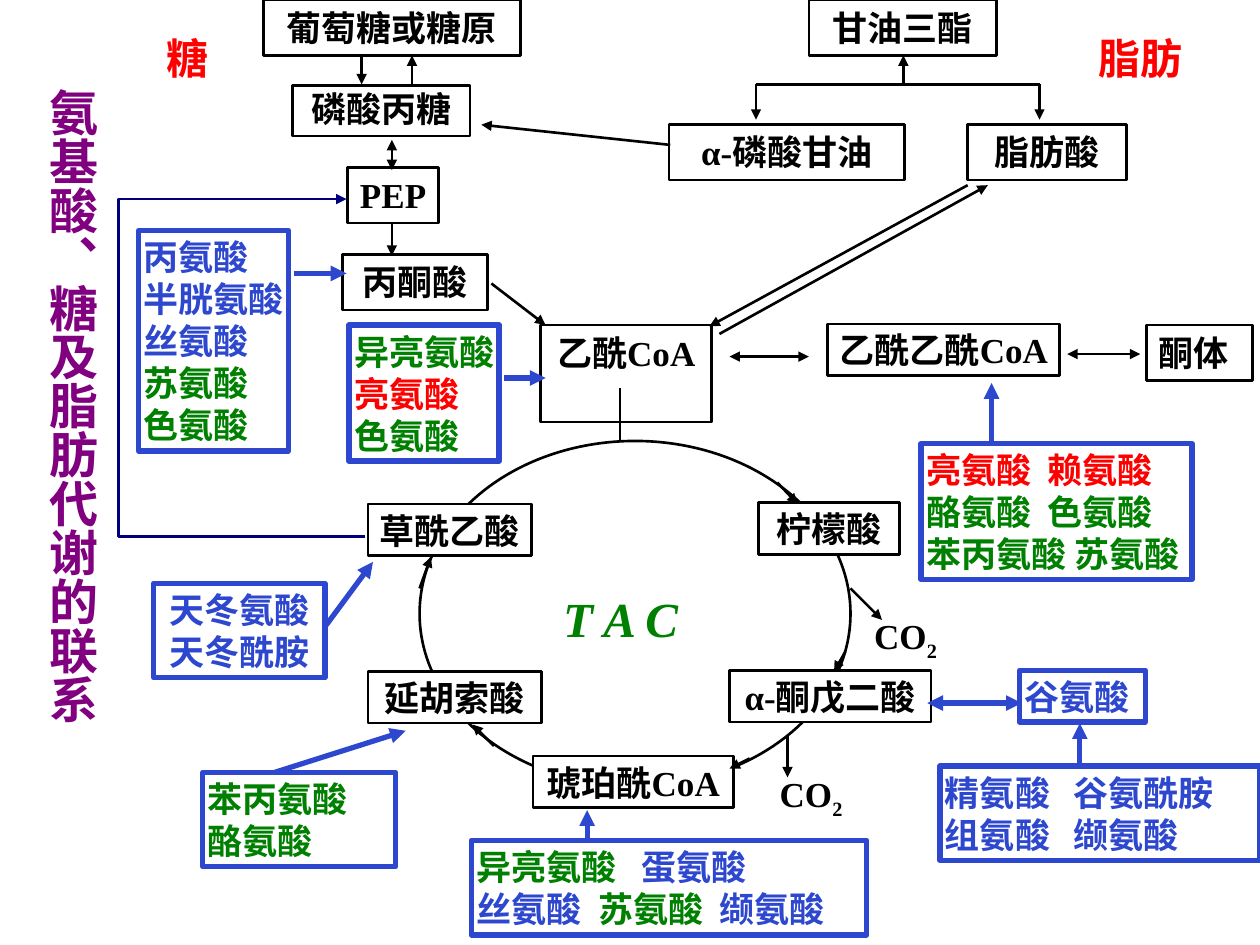
from lxml.etree import SubElement
from pptx import Presentation
from pptx.dml.color import RGBColor
from pptx.enum.shapes import MSO_CONNECTOR as CONN, MSO_SHAPE as SHAPE
from pptx.enum.text import MSO_ANCHOR as ANCHOR, MSO_AUTO_SIZE as AUTO, PP_ALIGN as ALIGN
from pptx.oxml.ns import qn
from pptx.util import Inches, Pt

BLACK, WHITE, BLUE, GREEN = "000000", "FFFFFF", "2D48CF", "008000"
RED, NAVY, PURPLE = "FF0000", "00007D", "800080"
WIDE, TIGHT, UPRIGHT = (0.1, 0.05), (0.04, 0.04), (0.05, 0.1)

# text, (left, top, width, height)
CYCLE_BOXES = [
    ("琥珀酰CoA", (4.23, 6, 1.59, 0.41)),
    ("延胡索酸", (2.92, 5.33, 1.38, 0.41)),
    ("草酰乙酸", (2.92, 4, 1.3, 0.41)),
    ("α-酮戊二酸", (5.79, 5.32, 1.6, 0.41)),
    ("柠檬酸", (6.02, 3.99, 1.12, 0.41)),
]
PATHWAY_BOXES = [
    ("乙酰CoA", (4.29, 2.58, 1.36, 0.77), {}),
    ("丙酮酸", (2.72, 2.02, 1.15, 0.44), {}),
    ("PEP", (2.76, 1.33, 0.72, 0.44), {"wrap": False}),
    ("磷酸丙糖", (2.32, 0.68, 1.41, 0.4), {"spacing": 0.9}),
    ("葡萄糖或糖原", (2.09, 0, 2.04, 0.44), {}),
    ("α-磷酸甘油", (5.31, 0.99, 1.87, 0.44), {}),
    ("脂肪酸", (7.68, 0.99, 1.26, 0.44), {}),
    ("甘油三酯", (6.42, 0, 1.49, 0.44), {}),
    ("乙酰乙酰CoA", (6.57, 2.57, 1.84, 0.41), {"inset": TIGHT}),
    ("酮体", (9.1, 2.58, 0.84, 0.44), {"align": ALIGN.LEFT}),
]
# box, lines of (text, colour) runs, text options
AMINO_ACID_BOXES = [
    ((1.1, 1.83, 1.19, 1.75),
     [[("丙氨酸", BLUE)], [("半胱氨酸", BLUE)], [("丝氨酸", BLUE)],
      [("苏氨酸", GREEN)], [("色氨酸", GREEN)]], {"wrap": False}),
    ((2.77, 2.58, 1.19, 1.08),
     [[("异亮氨酸", GREEN)], [("亮氨酸", RED)], [("色氨酸", GREEN)]], {"wrap": False}),
    ((1.22, 4.63, 1.36, 0.75),
     [[("天冬氨酸", BLUE)], [("天冬酰胺", BLUE)]], {"align": ALIGN.CENTER}),
    ((1.61, 6.13, 1.53, 0.75), [[("苯丙氨酸", GREEN)], [("酪氨酸", GREEN)]], {}),
    ((3.74, 6.67, 3.14, 0.75),
     [[("异亮氨酸", GREEN), ("\t蛋氨酸", BLUE)],
      [("丝氨酸", BLUE), ("\t苏氨酸", GREEN), ("\t缬氨酸", BLUE)]],
     {"tabs": [(1.31,), (0.97, 1.93)]}),
    ((7.31, 3.52, 2.15, 1.08),
     [[("亮氨酸\t赖氨酸", RED)], [("酪氨酸\t色氨酸", GREEN)], [("苯丙氨酸 苏氨酸", GREEN)]],
     {"tabs": [(0.96,), (0.96,), ()]}),
    ((8.09, 5.32, 1, 0.41), [[("谷氨酸", BLUE)]], {}),
    ((7.46, 6.08, 2.54, 0.75),
     [[("精氨酸\t谷氨酰胺", BLUE)], [("组氨酸\t缬氨酸", BLUE)]],
     {"tabs": [(1.02,), (1.02,)]}),
]
# x1, y1, x2, y2
PLAIN_LINES = [(6, 0.67, 8.25, 0.67), (4.92, 3.08, 4.92, 3.5)]
ARROWS = [
    (5.32, 1.15, 3.82, 0.99), (6, 0.67, 6, 0.95), (8.25, 0.67, 8.25, 0.95),
    (7.17, 0.67, 7.17, 0.44), (2.87, 0.44, 2.87, 0.67), (3.27, 0.68, 3.27, 0.44),
    (3.11, 1.78, 3.11, 2.03), (3.9, 2.25, 4.33, 2.58), (6.71, 5.17, 6.62, 5.33),
    (6.75, 4.67, 7, 4.92), (5.95, 6.02, 5.79, 6.1), (6.25, 5.83, 6.25, 6.17),
    (6.17, 3.83, 6.33, 4), (3.33, 4.67, 3.42, 4.42), (3.92, 5.92, 3.75, 5.75),
    (7.68, 1.47, 5.63, 2.59), (5.71, 2.65, 7.84, 1.47),
]
TWO_WAY_ARROWS = [(3.11, 1.11, 3.11, 1.35), (8.47, 2.81, 9.05, 2.81), (5.79, 2.83, 6.42, 2.83)]
AMINO_ACID_ARROWS = [
    (2.33, 2.17, 2.75, 2.17), (4, 3, 4.33, 3), (2.59, 4.96, 2.96, 4.46),
    (2.18, 6.13, 3.22, 5.8), (4.66, 6.67, 4.66, 6.43), (7.87, 3.52, 7.87, 3.04),
    (8.57, 6.08, 8.57, 5.74),
]


def rgb(color):
    return RGBColor.from_string(color)


def inches(values):
    return [Inches(v) for v in values]


def add_run(p, text, color, size=20, italic=None):
    r = p.add_run()
    r.text = text
    fmt = {"name": "Times New Roman", "size": Pt(size), "bold": True, "italic": italic}
    for name, value in fmt.items():
        setattr(r.font, name, value)
    r.font.color.rgb = rgb(color)
    return r


def set_tabs(p, stops):
    if stops:
        tab_list = SubElement(p._p.get_or_add_pPr(), qn("a:tabLst"))
        for stop in stops:
            SubElement(tab_list, qn("a:tab"), pos=str(Inches(stop)), algn="l")


def write(sp, lines, inset=WIDE, align=ALIGN.LEFT, wrap=True, spacing=None, tabs=None, **font):
    """Fill a shape with lines, each a list of (text, colour) runs."""
    tf = sp.text_frame
    dx, dy = inches(inset)
    fmt = {"margin_left": dx, "margin_right": dx, "margin_top": dy, "margin_bottom": dy,
           "word_wrap": wrap, "auto_size": AUTO.NONE, "vertical_anchor": ANCHOR.TOP}
    for name, value in fmt.items():
        setattr(tf, name, value)
    for i, runs in enumerate(lines):
        p = tf.add_paragraph() if i else tf.paragraphs[0]
        if tabs:
            set_tabs(p, tabs[i])
        p.alignment = align
        p.line_spacing = spacing
        for text, color in runs:
            add_run(p, text, color, **font)
    return tf


def add_outlined(s, kind, box, color=BLACK, width=1.5, fill=None):
    sp = s.shapes.add_shape(kind, *inches(box))
    sp.shadow.inherit = False
    if fill:
        sp.fill.solid()
        sp.fill.fore_color.rgb = rgb(fill)
    else:
        sp.fill.background()
    sp.line.color.rgb = rgb(color)
    sp.line.width = Pt(width)
    return sp


def add_label(s, text, box, color, **options):
    return write(s.shapes.add_textbox(*inches(box)), [[(text, color)]], **options)


def add_line(s, ends, color=BLACK, width=1.5, arrows=("tailEnd",), kind=CONN.STRAIGHT):
    c = s.shapes.add_connector(kind, *inches(ends))
    c.line.color.rgb = rgb(color)
    c.line.width = Pt(width)
    for end in arrows:
        SubElement(c.line._get_or_add_ln(), qn(f"a:{end}"), type="triangle")
    SubElement(c._element.spPr, qn("a:effectLst"))
    return c


def add_return_arrow(s):
    """Lead oxaloacetate back to PEP by an elbow bulging to the left."""
    x1, y1, x2, y2, bend = 2.75, 1.58, 2.9, 4.26, 0.94
    c = add_line(s, (x1, y1, x2, y2), NAVY, kind=CONN.ELBOW)
    spPr = c._element.spPr
    spPr.find(qn("a:xfrm")).set("rot", "10800000")
    guides = spPr.find(qn("a:prstGeom")).find(qn("a:avLst"))
    ratio = round((x2 - bend) / (x2 - x1) * 100000)
    SubElement(guides, qn("a:gd"), name="adj1", fmla=f"val {ratio}")


def add_title(s, text, box):
    sp = s.shapes.title
    sp.left, sp.top, sp.width, sp.height = inches(box)
    tf = write(sp, [[(text, PURPLE)]], inset=UPRIGHT, size=28)
    tf._txBody.bodyPr.set("vert", "eaVert")


def main():
    prs = Presentation()
    prs.slide_width, prs.slide_height = Inches(10), Inches(7.5)
    s = prs.slides.add_slide(prs.slide_layouts[5])
    add_title(s, "氨基酸、糖及脂肪代谢的联系", (0.2, 0.6, 0.66, 5.32))

    add_outlined(s, SHAPE.OVAL, (3.33, 3.5, 3.42, 2.74))
    for text, box in CYCLE_BOXES:
        sp = add_outlined(s, SHAPE.RECTANGLE, box, fill=WHITE)
        write(sp, [[(text, BLACK)]], inset=TIGHT, align=ALIGN.CENTER)
    for text, box, options in PATHWAY_BOXES:
        sp = add_outlined(s, SHAPE.RECTANGLE, box)
        write(sp, [[(text, BLACK)]], **{"align": ALIGN.CENTER, **options})
    for box, lines, options in AMINO_ACID_BOXES:
        sp = add_outlined(s, SHAPE.RECTANGLE, box, BLUE, 3)
        write(sp, lines, inset=TIGHT, **options)

    both = ("headEnd", "tailEnd")
    for ends in PLAIN_LINES:
        add_line(s, ends, arrows=())
    for ends in ARROWS:
        add_line(s, ends)
    for ends in TWO_WAY_ARROWS:
        add_line(s, ends, arrows=both)
    for ends in AMINO_ACID_ARROWS:
        add_line(s, ends, BLUE, 3)
    add_line(s, (7.36, 5.58, 8.11, 5.58), BLUE, 3, both)
    add_return_arrow(s)

    add_label(s, "糖", (1.22, 0.21, 0.53, 0.5), RED, size=24, wrap=False)
    add_label(s, "脂肪", (8.54, 0.21, 1.02, 0.5), RED, size=24, align=ALIGN.CENTER)
    add_label(s, "T A C", (4.37, 4.62, 1.15, 0.57), GREEN, size=28, italic=True, wrap=False)
    for x, y in [(6.84, 4.83), (6.09, 6.08)]:
        tf = add_label(s, "CO", (x, y, 0.7, 0.48), BLACK, wrap=False)
        r = add_run(tf.paragraphs[0], "2", BLACK)
        r.font._element.set("baseline", "-25000")
    prs.save("out.pptx")


if __name__ == "__main__":
    main()
